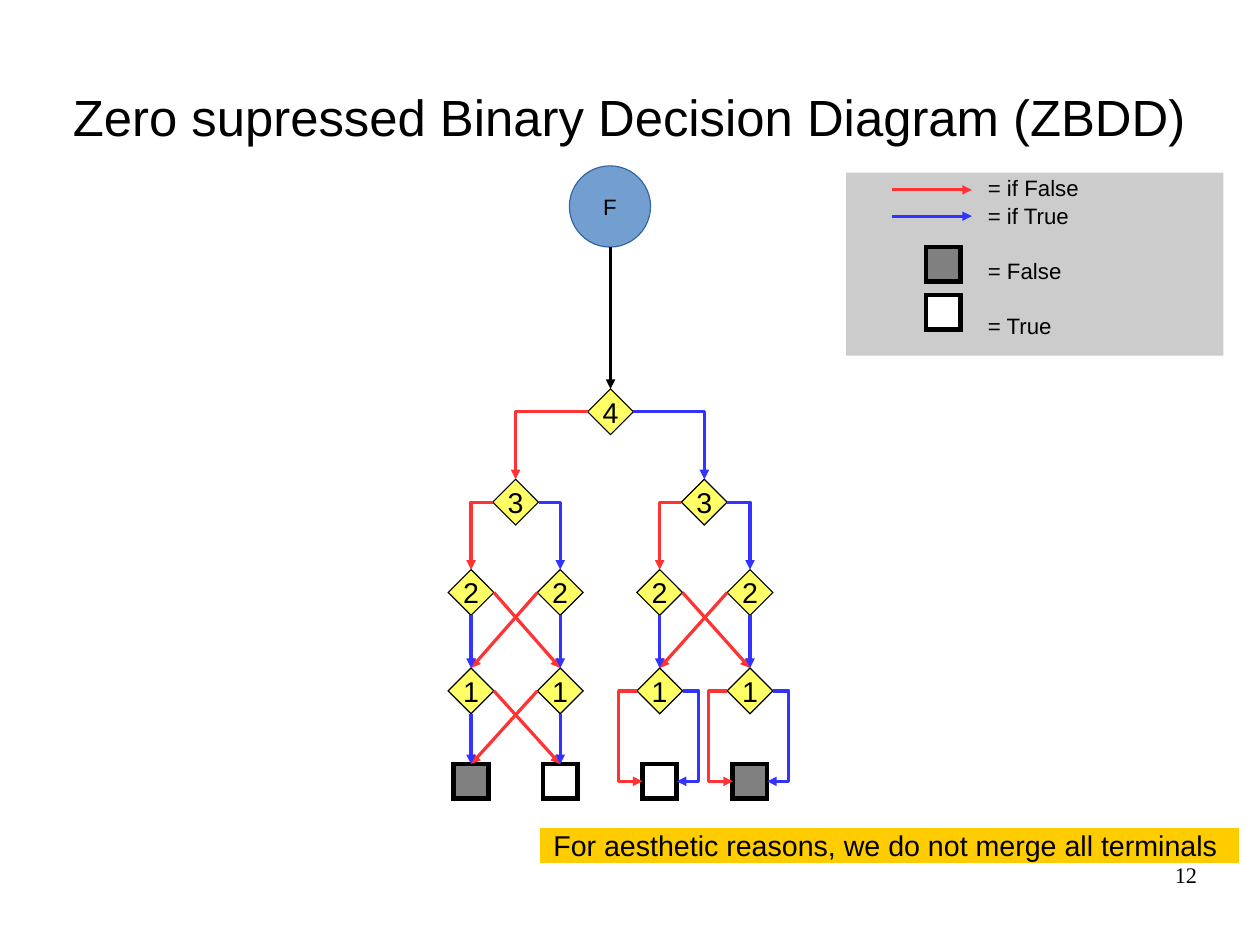
from pptx import Presentation
from pptx.dml.color import RGBColor
from pptx.enum.shapes import MSO_CONNECTOR, MSO_SHAPE
from pptx.enum.text import MSO_ANCHOR, MSO_AUTO_SIZE, PP_ALIGN
from pptx.oxml.ns import qn
from pptx.util import Pt
from lxml.etree import SubElement

PX = 9144
BLACK, GREY, WHITE = "000000", "808080", "FFFFFF"
IF_FALSE, IF_TRUE = "FF3333", "3333FF"
TOP, LEFT, BOTTOM, RIGHT = range(4)


def rgb(color):
    return RGBColor.from_string(color)


def px(*lengths):
    return [length * PX for length in lengths]


class DiagramSlide:
    """Holds the text style and the slide on which the diagram is drawn."""

    def __init__(self, slide, font="Arial"):
        self.slide = slide
        self.font = font

    def label(self, shape, lines, size, align=PP_ALIGN.CENTER, anchor=MSO_ANCHOR.MIDDLE,
              insets=(10, 5, 10, 5), wrap=False, gaps=(), font=None):
        frame = shape.text_frame
        frame.auto_size = MSO_AUTO_SIZE.NONE
        frame.word_wrap = wrap
        frame.vertical_anchor = anchor
        (frame.margin_left, frame.margin_top,
         frame.margin_right, frame.margin_bottom) = px(*insets)
        for index, line in enumerate(lines):
            paragraph = frame.add_paragraph() if index else frame.paragraphs[0]
            paragraph.alignment = align
            if index and gaps:
                paragraph.space_before = Pt(gaps[index - 1])
            run = paragraph.add_run()
            run.text = line
            run.font.size = Pt(size)
            run.font.name = font or self.font
            run.font.color.rgb = rgb(BLACK)

    def title(self, text, box):
        heading = self.slide.shapes.title
        heading.left, heading.top, heading.width, heading.height = px(*box)
        self.label(heading, [text], 32, insets=(0, 0, 0, 0), wrap=True)

    def page_number(self, text, box):
        number = self.slide.shapes.add_textbox(*px(*box))
        self.label(number, [text], 14, PP_ALIGN.RIGHT, MSO_ANCHOR.TOP,
                   (0, 0, 0, 0), True, font="Times New Roman")

    def shape(self, preset, box, fill, line=None, width=0):
        drawn = self.slide.shapes.add_shape(preset, *px(*box))
        drawn.shadow.inherit = False
        drawn.fill.solid()
        drawn.fill.fore_color.rgb = rgb(fill)
        if line:
            drawn.line.color.rgb = rgb(line)
            drawn.line.width = Pt(width)
            SubElement(drawn.element.spPr.find(qn("a:ln")), qn("a:miter"), lim="800000")
        else:
            drawn.line.fill.background()
        return drawn

    def node(self, level, center, top):
        diamond = self.shape(MSO_SHAPE.DIAMOND, (center - 20, top, 40, 40), "FFFF66", BLACK)
        self.label(diamond, [level], 18)
        return diamond

    def terminal(self, fill, left, top):
        return self.shape(MSO_SHAPE.RECTANGLE, (left, top, 30, 30), fill, BLACK, 3)

    def arrow(self, start, end, color, kind=MSO_CONNECTOR.STRAIGHT):
        connector = self.slide.shapes.add_connector(kind, *px(*start, *end))
        connector.line.color.rgb = rgb(color)
        connector.line.width = Pt(0)
        properties = connector.element.spPr
        SubElement(properties.find(qn("a:ln")), qn("a:tailEnd"), type="triangle")
        SubElement(properties, qn("a:effectLst"))
        return connector

    def link(self, parent, exit_side, child, entry_side, color, kind=MSO_CONNECTOR.STRAIGHT):
        connector = self.arrow((0, 0), (0, 0), color, kind)
        connector.begin_connect(parent, exit_side)
        connector.end_connect(child, entry_side)
        return connector

    def branch(self, parent, side, child, color):
        bend = self.link(parent, side, child, TOP, color, MSO_CONNECTOR.ELBOW)
        bend.element.spPr.find(qn("a:prstGeom")).set("prst", "bentConnector2")

    def detour(self, parent, child, side, reach, color):
        bend = self.link(parent, side, child, side, color, MSO_CONNECTOR.ELBOW)
        ratio = reach * PX / (bend.end_x - bend.begin_x)
        guides = bend.element.spPr.find(qn("a:prstGeom")).find(qn("a:avLst"))
        SubElement(guides, qn("a:gd"), name="adj1", fmla=f"val {round(ratio * 100000)}")


def main():
    deck = Presentation()
    deck.slide_width, deck.slide_height = px(1102, 827)
    zbdd = DiagramSlide(deck.slides.add_slide(deck.slide_layouts[5]))
    zbdd.title("Zero supressed Binary Decision Diagram (ZBDD)", (55, 33, 992, 138))

    columns = (412, 490, 577, 656)
    terminals = [zbdd.terminal(fill, center - 15, 668)
                 for fill, center in zip((GREY, WHITE, WHITE, GREY), columns)]
    function = zbdd.shape(MSO_SHAPE.OVAL, (498, 145, 71, 71), "729FCF", "3465A4")
    zbdd.label(function, ["F"], 14)
    root = zbdd.node("4", 534, 340)
    threes = [zbdd.node("3", center, 419) for center in (451, 616)]
    twos = [zbdd.node("2", center, 498) for center in columns]
    ones = [zbdd.node("1", center, 584) for center in columns]

    zbdd.arrow((534, 216), (534, 340), BLACK)
    for parent, children in ((root, threes), (threes[0], twos[:2]), (threes[1], twos[2:])):
        zbdd.branch(parent, LEFT, children[0], IF_FALSE)
        zbdd.branch(parent, RIGHT, children[1], IF_TRUE)
    for parents, children in ((twos[:2], ones[:2]), (twos[2:], ones[2:]),
                              (ones[:2], terminals[:2])):
        zbdd.link(parents[0], RIGHT, children[1], TOP, IF_FALSE)
        zbdd.link(parents[1], LEFT, children[0], TOP, IF_FALSE)
        for parent, child in zip(parents, children):
            zbdd.link(parent, BOTTOM, child, TOP, IF_TRUE)
    for parent, child in zip(ones[2:], terminals[2:]):
        zbdd.detour(parent, child, LEFT, -16, IF_FALSE)
        zbdd.detour(parent, child, RIGHT, 14, IF_TRUE)

    legend = zbdd.shape(MSO_SHAPE.RECTANGLE, (740, 151, 330, 160), "CCCCCC")
    zbdd.label(legend, ["= if False", "= if True", "= False", "= True"], 14, PP_ALIGN.LEFT,
               MSO_ANCHOR.TOP, (124, 1, 10, 0), True, (1, 18, 18))
    zbdd.terminal(WHITE, 810, 258)
    zbdd.terminal(GREY, 810, 216)
    for color, height in ((IF_TRUE, 189), (IF_FALSE, 166)):
        zbdd.arrow((780, height), (850, height), color)

    remark = zbdd.shape(MSO_SHAPE.RECTANGLE, (473, 724, 610, 30), "FFCC00", "FFCC00")
    zbdd.label(remark, ["For aesthetic reasons, we do not merge all terminals"], 18,
               insets=(10, 5, 17, 5))
    zbdd.page_number("12", (790, 753, 257, 57))
    deck.save("out.pptx")


if __name__ == "__main__":
    main()
